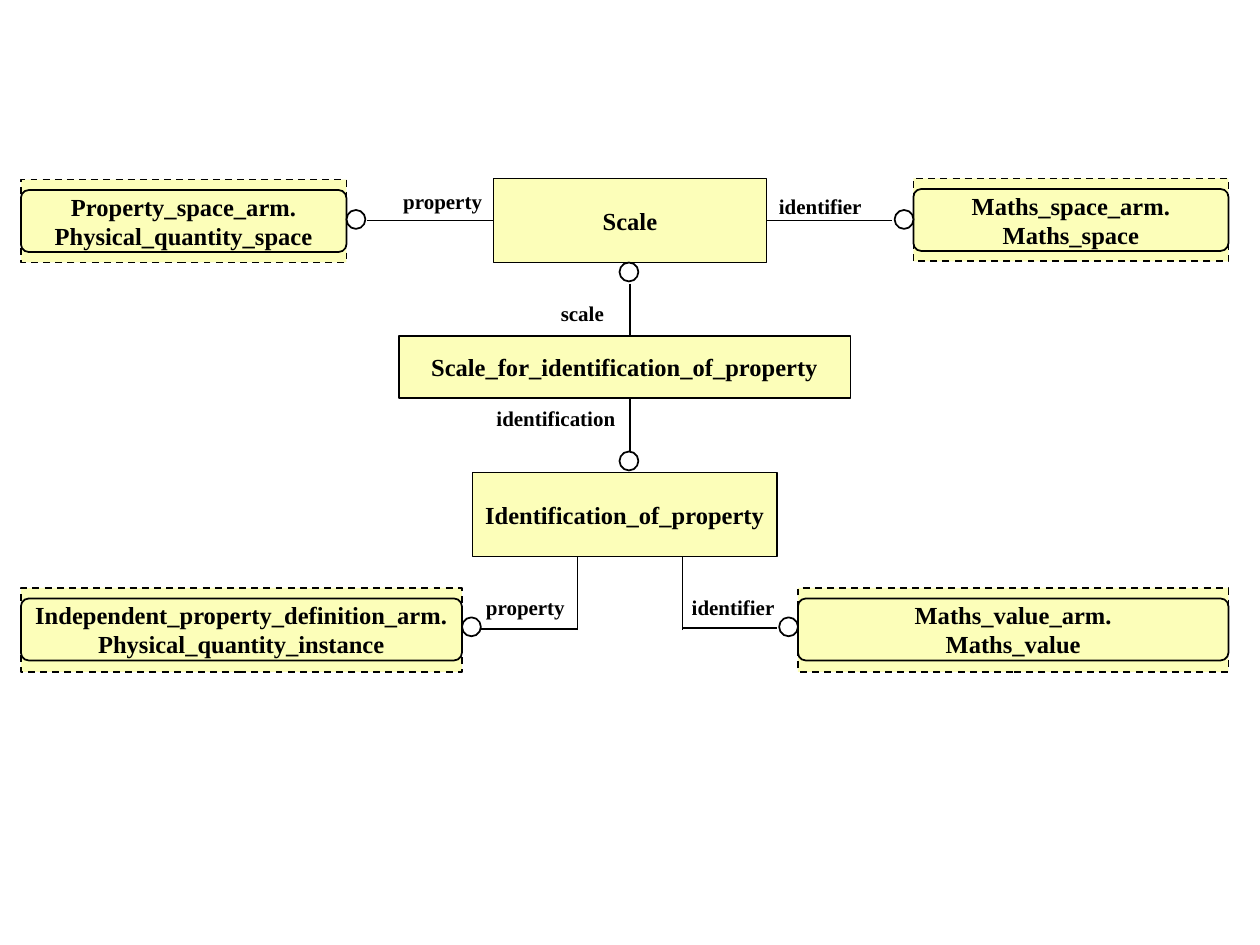
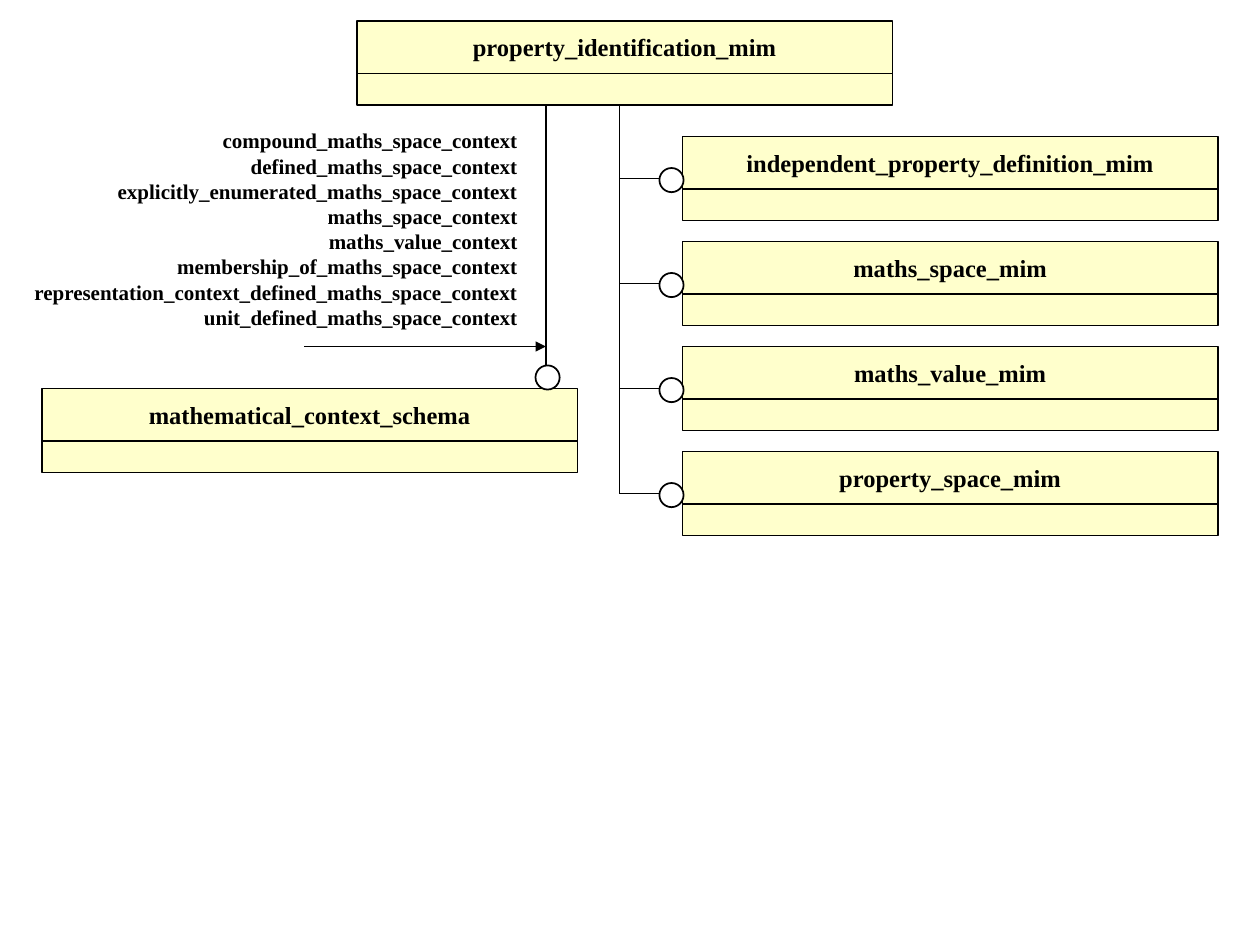
"""Build two schema diagrams about the identification of properties."""
from dataclasses import dataclass

from lxml import etree
from pptx import Presentation
from pptx.dml.color import RGBColor
from pptx.enum.dml import MSO_LINE
from pptx.enum.shapes import MSO_CONNECTOR, MSO_SHAPE
from pptx.enum.text import MSO_ANCHOR, MSO_AUTO_SIZE, PP_ALIGN
from pptx.oxml.ns import qn
from pptx.shapes.autoshape import Shape
from pptx.shapes.connector import Connector
from pptx.slide import Slide
from pptx.util import Pt

EMU_PER_PX = 7620
SLIDE_WIDTH, SLIDE_HEIGHT = 1200, 900
BLANK_LAYOUT = 6
LEFT_SIDE, RIGHT_SIDE = 1, 3
RECTANGLE, ROUNDED, OVAL = MSO_SHAPE.RECTANGLE, MSO_SHAPE.ROUNDED_RECTANGLE, MSO_SHAPE.OVAL
STRAIGHT = MSO_CONNECTOR.STRAIGHT
DASH = MSO_LINE.DASH
LEFT, CENTER, RIGHT = PP_ALIGN.LEFT, PP_ALIGN.CENTER, PP_ALIGN.RIGHT
TOP, MIDDLE = MSO_ANCHOR.TOP, MSO_ANCHOR.MIDDLE
FIT_SHAPE = MSO_AUTO_SIZE.SHAPE_TO_FIT_TEXT

REFERENCE_INSET, REFERENCE_INNER_HEIGHT = 10, 59
MODULE_WIDTH, MODULE_HEAD, MODULE_FOOT = 510, 50, 30
ENTITY_CIRCLE, MODULE_CIRCLE = 18, 23


@dataclass(frozen=True)
class Theme:
    """Colours, font, type sizes and line widths."""

    ink: RGBColor = RGBColor(0x00, 0x00, 0x00)
    paper: RGBColor = RGBColor(0xFF, 0xFF, 0xFF)
    entity: RGBColor = RGBColor(0xFC, 0xFE, 0xB9)
    module: RGBColor = RGBColor(0xFF, 0xFF, 0xCC)
    font: str = "Times New Roman"
    name_size: int = 14
    label_size: int = 12
    line: float = 1
    thin_line: float = 0.75


THEME = Theme()


@dataclass(frozen=True)
class Box:
    """A rectangle in px."""

    left: int
    top: int
    width: int
    height: int

    def emu(self) -> tuple[int, int, int, int]:
        """Return the rectangle in EMU."""
        return px(self.left), px(self.top), px(self.width), px(self.height)


@dataclass(frozen=True)
class Named:
    """An entity or a reference with its name."""

    text: str
    box: Box


@dataclass(frozen=True)
class Label:
    """The name of a relation."""

    text: str
    box: Box
    alignment: PP_ALIGN = LEFT
    wrap: bool = False


@dataclass(frozen=True)
class Module:
    """A two-part module box with its top left corner."""

    text: str
    left: int
    top: int


@dataclass(frozen=True)
class Line:
    """A straight line between two points in px."""

    start: tuple[int, int]
    end: tuple[int, int]
    width: float = THEME.line
    arrow: bool = False


SCALE = Named("Scale", Box(470, 170, 260, 80))
ENTITIES = (
    Named("Scale_for_identification_of_property", Box(380, 320, 430, 59)),
    Named("Identification_of_property", Box(450, 450, 290, 80)),
)
REFERENCES = (
    Named("Property_space_arm.\nPhysical_quantity_space", Box(20, 171, 310, 79)),
    Named("Maths_space_arm.\nMaths_space", Box(870, 170, 300, 79)),
    Named("Independent_property_definition_arm.\nPhysical_quantity_instance", Box(20, 560, 420, 80)),
    Named("Maths_value_arm.\nMaths_value", Box(760, 560, 410, 80)),
)
ENTITY_CIRCLES = ((330, 200), (852, 200), (440, 588), (742, 588), (590, 250), (590, 430))
ENTITY_LINES = (
    Line((600, 270), (600, 320)),
    Line((600, 380), (600, 430)),
    Line((458, 599), (550, 599)),
    Line((550, 600), (550, 530)),
    Line((650, 598), (740, 598)),
    Line((650, 600), (650, 530)),
)
RELATION_LABELS = (
    Label("property", Box(371, 174, 100, 36), RIGHT),
    Label("identifier", Box(730, 178, 130, 36), wrap=True),
    Label("scale", Box(450, 280, 137, 36), RIGHT, wrap=True),
    Label("identification", Box(461, 380, 137, 36), RIGHT),
    Label("property", Box(451, 560, 100, 36)),
    Label("identifier", Box(647, 560, 103, 36)),
)

MAIN_MODULE = Module("property_identification_mim", 340, 20)
CONTEXT_SCHEMA = Module("mathematical_context_schema", 40, 370)
USED_MODULE_NAMES = (
    "independent_property_definition_mim",
    "maths_space_mim",
    "maths_value_mim",
    "property_space_mim",
)
USED_LEFT, USED_TOP, USED_STEP = 650, 130, 100
TRUNK_X, CONTEXT_X = 590, 520
MAIN_BOTTOM = MAIN_MODULE.top + MODULE_HEAD + MODULE_FOOT
CONTEXT_NAMES = Label(
    "compound_maths_space_context\n"
    "defined_maths_space_context\n"
    "explicitly_enumerated_maths_space_context\n"
    "maths_space_context\n"
    "maths_value_context\n"
    "membership_of_maths_space_context\n"
    "representation_context_defined_maths_space_context\n"
    "unit_defined_maths_space_context",
    Box(20, 116, 485, 204),
    RIGHT,
)


def px(length: int) -> int:
    """Convert px to EMU."""
    return length * EMU_PER_PX


def write_text(shape: Shape, text: str, *, size: int, alignment: PP_ALIGN = CENTER,
               anchor: MSO_ANCHOR = MIDDLE, wrap: bool = False) -> None:
    """Fill a shape with bold text, one paragraph a line."""
    frame = shape.text_frame
    frame.text = text
    frame.word_wrap = wrap
    frame.vertical_anchor = anchor
    for paragraph in frame.paragraphs:
        paragraph.alignment = alignment
        font = paragraph.font
        font.name = THEME.font
        font.size = Pt(size)
        font.bold = True
        font.color.rgb = THEME.ink


def draw_shape(parent: Slide, kind: MSO_SHAPE, box: Box, fill: RGBColor, *,
               width: float = THEME.line, dashed: bool = False) -> Shape:
    """Draw an outlined, filled shape on a slide or in a group."""
    shape = parent.shapes.add_shape(kind, *box.emu())
    shape.shadow.inherit = False
    shape.fill.solid()
    shape.fill.fore_color.rgb = fill
    shape.line.color.rgb = THEME.ink
    shape.line.width = Pt(width)
    if dashed:
        shape.line.dash_style = DASH
    return shape


def draw_entity(slide: Slide, entity: Named) -> Shape:
    """Draw a plain entity rectangle."""
    shape = draw_shape(slide, RECTANGLE, entity.box, THEME.entity)
    write_text(shape, entity.text, size=THEME.name_size)
    return shape


def draw_reference(slide: Slide, reference: Named) -> None:
    """Draw a dashed frame with a rounded box that names an outside entity."""
    box = reference.box
    group = slide.shapes.add_group_shape()
    draw_shape(group, RECTANGLE, box, THEME.entity, dashed=True)
    inner = Box(box.left, box.top + REFERENCE_INSET, box.width, REFERENCE_INNER_HEIGHT)
    shape = draw_shape(group, ROUNDED, inner, THEME.entity)
    shape.adjustments[0] = 0.125
    write_text(shape, reference.text, size=THEME.name_size)


def draw_module(slide: Slide, module: Module) -> None:
    """Draw a module as a named head over an empty foot."""
    group = slide.shapes.add_group_shape()
    head_box = Box(module.left, module.top, MODULE_WIDTH, MODULE_HEAD)
    foot_box = Box(module.left, module.top + MODULE_HEAD, MODULE_WIDTH, MODULE_FOOT)
    head, _ = (draw_shape(group, RECTANGLE, box, THEME.module, width=THEME.thin_line)
               for box in (head_box, foot_box))
    write_text(head, module.text, size=THEME.name_size)


def draw_circle(slide: Slide, left: int, top: int, diameter: int) -> None:
    """Draw the circle at the end of a relation."""
    draw_shape(slide, OVAL, Box(left, top, diameter, diameter), THEME.paper)


def draw_line(slide: Slide, line: Line) -> Connector:
    """Draw a straight connector, with an arrowhead at its end if asked."""
    points = (px(value) for value in line.start + line.end)
    connector = slide.shapes.add_connector(STRAIGHT, *points)
    connector.line.color.rgb = THEME.ink
    connector.line.width = Pt(line.width)
    properties = connector._element.spPr
    if line.arrow:
        etree.SubElement(properties.find(qn("a:ln")), qn("a:tailEnd"), type="triangle")
    etree.SubElement(properties, qn("a:effectLst"))
    return connector


def draw_label(slide: Slide, label: Label) -> None:
    """Draw a relation label."""
    shape = slide.shapes.add_textbox(*label.box.emu())
    write_text(shape, label.text, size=THEME.label_size, alignment=label.alignment,
               anchor=TOP, wrap=label.wrap)
    shape.text_frame.auto_size = FIT_SHAPE


def build_entity_slide(slide: Slide) -> None:
    """Draw the entities and their relations."""
    scale = draw_entity(slide, SCALE)
    for entity in ENTITIES:
        draw_entity(slide, entity)
    for reference in REFERENCES:
        draw_reference(slide, reference)
    for left, top in ENTITY_CIRCLES:
        draw_circle(slide, left, top, ENTITY_CIRCLE)
    draw_line(slide, Line((350, 210), (470, 210))).end_connect(scale, LEFT_SIDE)
    draw_line(slide, Line((730, 210), (850, 210))).begin_connect(scale, RIGHT_SIDE)
    for line in ENTITY_LINES:
        draw_line(slide, line)
    for label in RELATION_LABELS:
        draw_label(slide, label)


def build_module_slide(slide: Slide) -> None:
    """Draw the main module and the modules that it uses."""
    draw_module(slide, MAIN_MODULE)
    draw_module(slide, CONTEXT_SCHEMA)
    for index, name in enumerate(USED_MODULE_NAMES):
        top = USED_TOP + index * USED_STEP
        branch = top + 40
        draw_module(slide, Module(name, USED_LEFT, top))
        draw_line(slide, Line((TRUNK_X, branch), (630, branch), THEME.thin_line))
        draw_circle(slide, 628, top + 30, MODULE_CIRCLE)
    draw_line(slide, Line((TRUNK_X, branch), (TRUNK_X, MAIN_BOTTOM), THEME.thin_line))
    draw_line(slide, Line((CONTEXT_X, 350), (CONTEXT_X, MAIN_BOTTOM)))
    draw_circle(slide, 510, 348, MODULE_CIRCLE)
    draw_line(slide, Line((290, 330), (CONTEXT_X, 330), arrow=True))
    draw_label(slide, CONTEXT_NAMES)


def main() -> None:
    """Build and save the presentation."""
    presentation = Presentation()
    presentation.slide_width = px(SLIDE_WIDTH)
    presentation.slide_height = px(SLIDE_HEIGHT)
    layout = presentation.slide_layouts[BLANK_LAYOUT]
    for build in (build_entity_slide, build_module_slide):
        build(presentation.slides.add_slide(layout))
    presentation.save("out.pptx")


if __name__ == "__main__":
    main()
